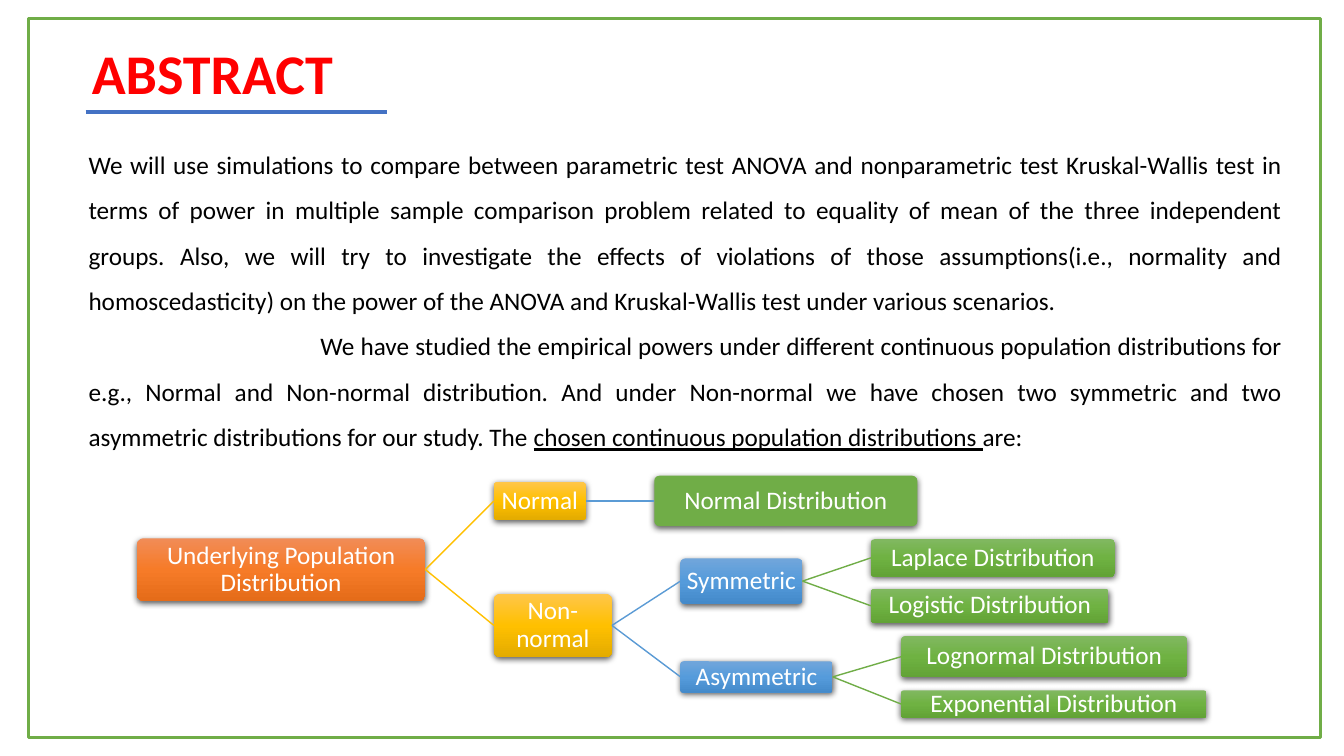
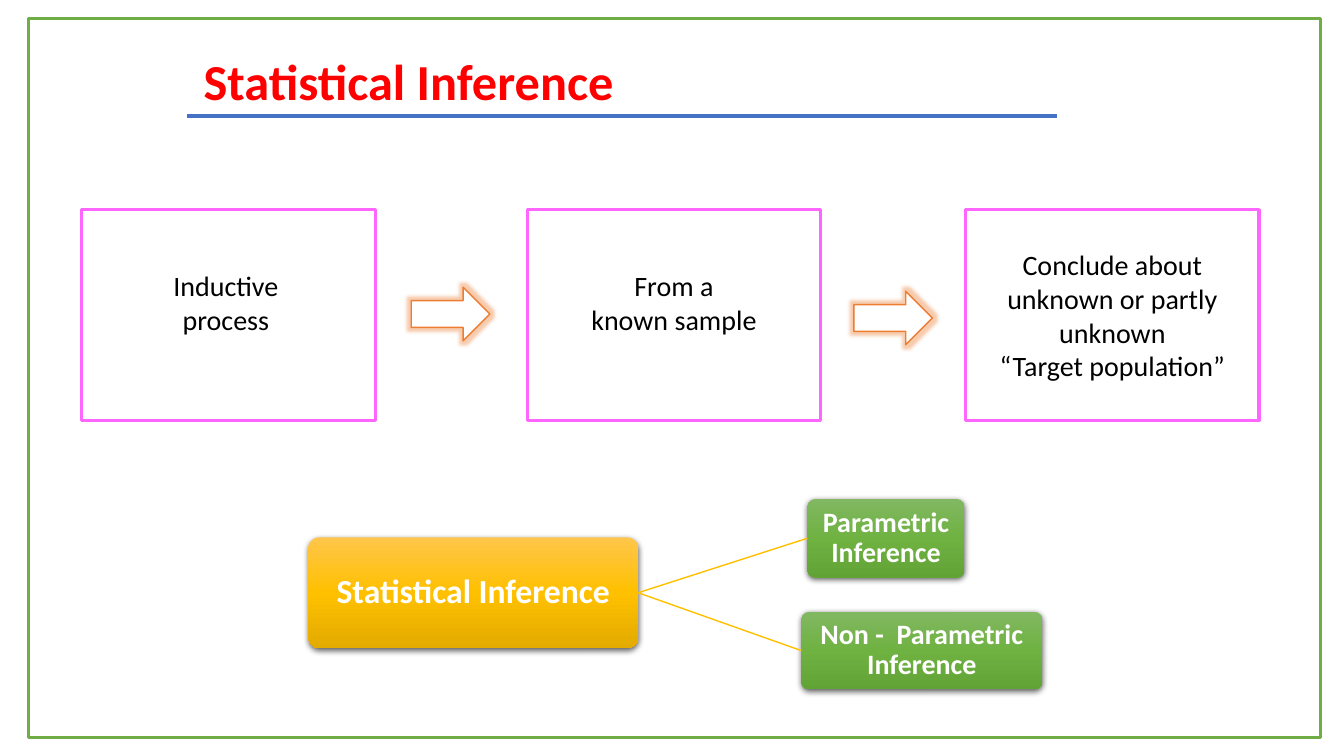
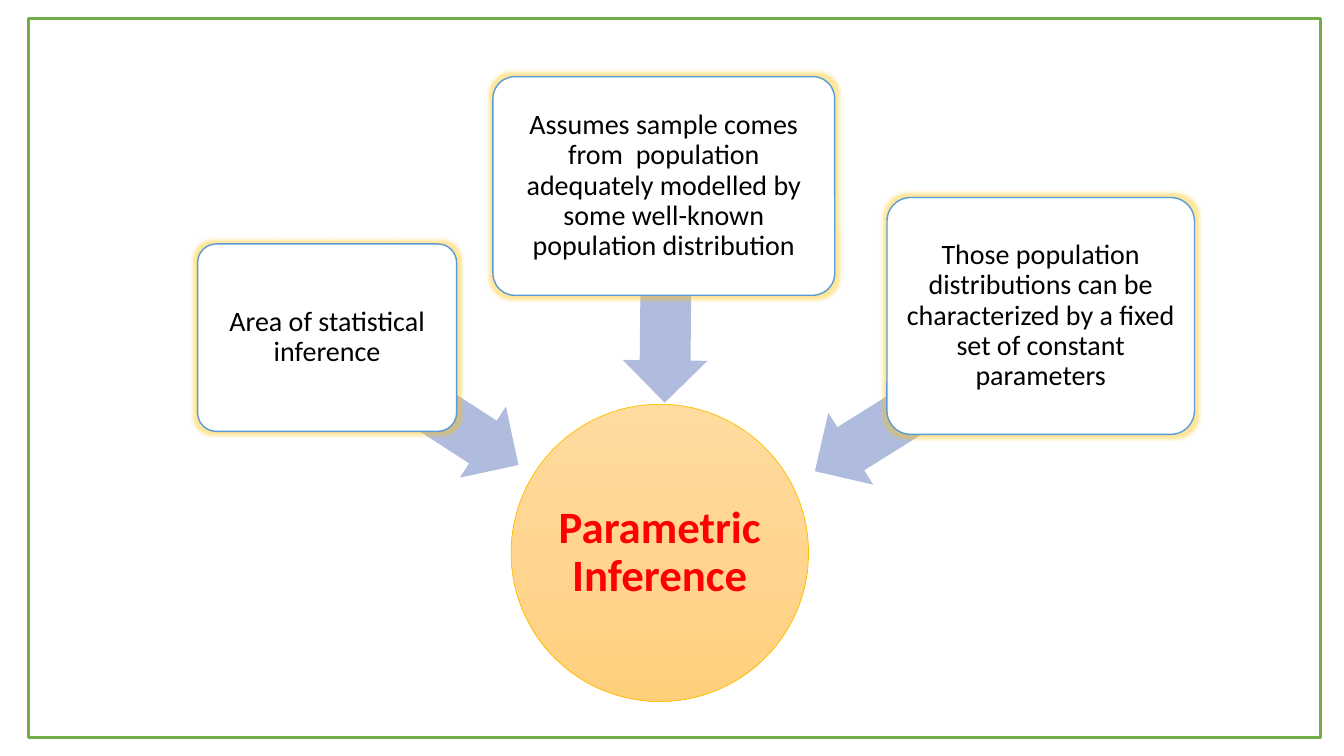
from dataclasses import dataclass

import lxml.etree
import pptx
import pptx.dml.color
import pptx.enum.shapes
import pptx.enum.text
import pptx.oxml.ns
import pptx.util

Shape = pptx.enum.shapes.MSO_SHAPE
Align = pptx.enum.text.PP_ALIGN
Anchor = pptx.enum.text.MSO_ANCHOR
Pt = pptx.util.Pt
Inches = pptx.util.Inches
qualified = pptx.oxml.ns.qn

SLIDE_WIDTH, SLIDE_HEIGHT = Inches(13.333), Inches(7.5)


@dataclass(frozen=True)
class Theme:
    font: str = "Calibri"
    red: str = "FF0000"
    black: str = "000000"
    white: str = "FFFFFF"
    frame: str = "70AD47"
    rule: str = "4472C4"
    pink: str = "FF66FF"
    arrow: str = "ED7D31"
    pale_arrow: str = "B0BCDE"
    glow: str = "FFC000"
    card_line: str = "5B9BD5"
    orange: tuple = ("F18C57", "F67B28", "E56C19")
    yellow: tuple = ("FFC64B", "FFC000", "E3AB00")
    blue: tuple = ("71A6DB", "559BDB", "448ACA")
    green: tuple = ("81B861", "6FB242", "62A336")
    peach: tuple = ("FFDB9E", "FFD590", "FFD07C")
    branches: tuple = ("FFC000", "5B9BD5", "70AD47")  # line colour by depth
    body: int = 18
    label: int = 20
    heading: int = 24
    hub: int = 32


THEME = Theme()


# ---------- Measures and formats ----------
def across(percent):
    return int(SLIDE_WIDTH * percent / 100)


def down(percent):
    return int(SLIDE_HEIGHT * percent / 100)


def place(left, top, width, height):
    """Turn percentages of the slide into lengths."""
    return across(left), down(top), across(width), down(height)


def colour(value):
    return pptx.dml.color.RGBColor.from_string(value)


def apply(target, formats):
    for name, value in formats.items():
        setattr(target, name, value)


def add_element(parent, tag, **attributes):
    values = {name: str(value) for name, value in attributes.items()}
    return lxml.etree.SubElement(parent, qualified(tag), values)


def paint(shape, fill):
    """No fill, one colour, or three colours from top to bottom."""
    if fill is None:
        shape.fill.background()
    elif isinstance(fill, str):
        shape.fill.solid()
        shape.fill.fore_color.rgb = colour(fill)
    else:
        shape.fill.gradient()
        shape.fill.gradient_angle = 270
        stops = next(shape.element.iter(qualified("a:gsLst")))
        for stop in list(stops):
            stops.remove(stop)
        for position, value in zip((0, 50000, 100000), fill):
            stop = add_element(stops, "a:gs", pos=position)
            add_element(stop, "a:srgbClr", val=value)


def outline(line, value, width):
    if value is None:
        line.fill.background()
    else:
        line.color.rgb = colour(value)
        line.width = Pt(width)


def add_effect(shape, tag, value, alpha, **attributes):
    effects = next(shape.element.iter(qualified("a:effectLst")))
    tint = add_element(add_element(effects, tag, **attributes), "a:srgbClr", val=value)
    add_element(tint, "a:alpha", val=alpha * 1000)


def cast_shadow(shape):
    add_effect(shape, "a:outerShdw", THEME.black, 63, blurRad=Pt(4.5), dist=Pt(1.5),
               dir=5400000, algn="ctr", rotWithShape=0)


def cast_glow(shape, value):
    add_effect(shape, "a:glow", value, 40, rad=Pt(5))


# ---------- Kinds of element ----------
def write(frame, paras, size, value, bold=False, align=Align.CENTER, spacing=1.0,
          anchor=Anchor.MIDDLE, insets=(0.1, 0.05, 0.1, 0.05)):
    """Each paragraph is a list of (text, underlined) spans or a plain string."""
    sides = ("margin_left", "margin_top", "margin_right", "margin_bottom")
    apply(frame, dict(zip(sides, map(Inches, insets))))
    apply(frame, {"word_wrap": True, "vertical_anchor": anchor})
    for index, content in enumerate(paras):
        para = frame.paragraphs[0] if index == 0 else frame.add_paragraph()
        apply(para, {"alignment": align, "line_spacing": spacing,
                     "space_before": Pt(0), "space_after": Pt(0)})
        for text, underlined in [(content, False)] if isinstance(content, str) else content:
            span = para.add_run()
            span.text = text
            apply(span.font, {"name": THEME.font, "size": Pt(size), "bold": bold,
                              "underline": underlined})
            span.font.color.rgb = colour(value)


def add_box(page, kind, area, fill=None, line=None, width=1.0, adjust=(), turn=0):
    box = page.shapes.add_shape(kind, *place(*area))
    box.shadow.inherit = False
    box.rotation = turn
    for index, amount in enumerate(adjust):
        box.adjustments[index] = amount
    paint(box, fill)
    outline(box.line, line, width)
    return box


def add_line(page, value, width, start=(0, 0), end=(0, 0), joined=None):
    line = page.shapes.add_connector(
        pptx.enum.shapes.MSO_CONNECTOR.STRAIGHT,
        across(start[0]), down(start[1]), across(end[0]), down(end[1]))
    outline(line.line, value, width)
    add_element(line.element.spPr, "a:effectLst")
    if joined:
        line.begin_connect(joined[0], 3)
        line.end_connect(joined[1], 1)


def add_page(deck, titled):
    page = deck.slides.add_slide(deck.slide_layouts[5 if titled else 6])
    add_box(page, Shape.RECTANGLE, (2.1, 2.4, 96.15, 95.2), line=THEME.frame, width=2.25)
    return page


def set_title(page, text, area, size, rule):
    title = page.shapes.title
    apply(title, dict(zip(("left", "top", "width", "height"), place(*area))))
    write(title.text_frame, [text], size, THEME.red, bold=True, align=Align.LEFT,
          anchor=Anchor.TOP)
    left, right, height = rule
    add_line(page, THEME.rule, 3, (left, height), (right, height))


def add_tree(page, nodes, bold=False):
    """Draw nodes of (label, parent, area, fill, size), parents first."""
    boxes, depths = {}, {}
    for label, parent, area, fill, size in nodes:
        box = add_box(page, Shape.ROUNDED_RECTANGLE, area, fill, adjust=(0.1,))
        cast_shadow(box)
        write(box.text_frame, [label], size, THEME.white, bold, spacing=0.9,
              insets=(0.02,) * 4)
        boxes[label] = box
        depths[label] = depths[parent] + 1 if parent else 0
        if parent:
            add_line(page, THEME.branches[depths[parent]], 1, joined=(boxes[parent], box))


# ---------- Slides ----------
def build_abstract(deck):
    page = add_page(deck, titled=True)
    set_title(page, "ABSTRACT", (6.08, 4.4, 21.45, 10.27), 40, (6.38, 28.8, 14.8))

    body = page.shapes.add_textbox(*place(5.85, 17.1, 90.3, 43.2)).text_frame
    write(body, [
        "We will use simulations to compare between parametric test ANOVA and "
        "nonparametric test Kruskal-Wallis test in terms of power in multiple sample "
        "comparison problem related to equality of mean of the three independent groups. "
        "Also, we will try to investigate the effects of violations of those "
        "assumptions(i.e., normality and homoscedasticity) on the power of the ANOVA and "
        "Kruskal-Wallis test under various scenarios.",
        [("We have studied the empirical powers under different continuous population "
          "distributions for e.g., Normal and Non-normal distribution. And under "
          "Non-normal we have chosen two symmetric and two asymmetric distributions for "
          "our study. The ", False),
         ("chosen continuous population distributions ", True),
         ("are:", False)],
    ], THEME.body, THEME.black, align=Align.JUSTIFY, spacing=1.5, anchor=Anchor.TOP)
    indented = body.paragraphs[1]._p.get_or_add_pPr()
    indented.set("marL", "0")
    indented.set("indent", str(Inches(2.3)))

    root, size = "Underlying Population Distribution", THEME.body
    add_tree(page, [
        (root, None, (10.2, 71.2, 21.45, 8.27), THEME.orange, size),
        ("Normal", root, (36.75, 63.73, 6.83, 5.07), THEME.yellow, size),
        ("Normal Distribution", "Normal", (48.68, 62.93, 19.58, 6.67), THEME.frame, size),
        ("Non-normal", root, (36.75, 78.53, 8.78, 8.4), THEME.yellow, size),
        ("Symmetric", "Non-normal", (50.63, 73.87, 9.08, 6), THEME.blue, size),
        ("Laplace Distribution", "Symmetric", (64.8, 71.33, 18.15, 4.93), THEME.green, size),
        ("Logistic Distribution", "Symmetric", (64.8, 77.87, 17.7, 4.53), THEME.green, size),
        ("Asymmetric", "Non-normal", (50.63, 87.47, 11.33, 4.13), THEME.blue, size),
        ("Lognormal Distribution", "Asymmetric", (67.05, 84.13, 21.3, 5.47),
         THEME.green, size),
        ("Exponential Distribution", "Asymmetric", (67.05, 91.33, 22.73, 3.6),
         THEME.green, size),
    ])


def build_inference(deck):
    page = add_page(deck, titled=True)
    set_title(page, "Statistical Inference", (14.4, 6, 63.83, 9.47), 36,
              (13.88, 78.68, 15.33))

    # Process steps, the first two with text raised by the bottom inset
    steps = [
        (6.08, ["Inductive", "process"], (0.16, 0, 0.21, 0.25)),
        (39.23, ["From a", "known sample"], (0.16, 0, 0.16, 0.25)),
        (71.85, ["Conclude about unknown or partly unknown", "“Target population”"],
         (0.16, 0, 0.16, 0)),
    ]
    for left, paras, insets in steps:
        step = add_box(page, Shape.RECTANGLE, (left, 27.73, 21.83, 27.87),
                       line=THEME.pink, width=2.25)
        write(step.text_frame, paras, THEME.label, THEME.black, insets=insets)
    for left, top in ((30.6, 38), (63.53, 38.53)):
        arrow = add_box(page, Shape.RIGHT_ARROW, (left, top, 5.85, 7.07),
                        THEME.white, THEME.arrow)
        cast_glow(arrow, THEME.arrow)

    root = "Statistical Inference"
    add_tree(page, [
        (root, None, (22.95, 71.07, 24.53, 14.67), THEME.yellow, THEME.heading),
        ("Parametric Inference", root, (60.08, 66, 11.7, 10.4), THEME.green, THEME.label),
        ("Non -  Parametric Inference", root, (59.63, 80.93, 17.93, 10.27),
         THEME.green, THEME.label),
    ], bold=True)


def build_parametric(deck):
    page = add_page(deck, titled=False)
    hub = add_box(page, Shape.OVAL, (38.03, 53.47, 22.13, 39.33), THEME.peach,
                  THEME.glow, 0.5)
    write(hub.text_frame, ["Parametric Inference"], THEME.hub, THEME.red, bold=True,
          spacing=0.9, insets=(0.02,) * 4)

    # Each card lies over the tail of its arrow: (left, top, width), turn, card area
    cards = [
        ("Area of statistical inference",
         (22.5, 47.47, 17.48), 212.9, (14.7, 32.27, 19.28, 24.8)),
        ("Assumes sample comes from  population adequately modelled by some "
         "well-known population distribution",
         (41.85, 34, 15.38), 270.6, (36.68, 10.13, 25.43, 28.93)),
        ("Those population distributions can be characterized by a fixed set of "
         "constant parameters",
         (59.03, 46.8, 21.08), 328, (66, 26.13, 22.88, 31.33)),
    ]
    for text, arrow, turn, area in cards:
        add_box(page, Shape.LEFT_ARROW, (*arrow, 11.2), THEME.pale_arrow,
                adjust=(0.6, 0.5), turn=turn)
        card = add_box(page, Shape.ROUNDED_RECTANGLE, area, THEME.white,
                       THEME.card_line, adjust=(0.1,))
        cast_glow(card, THEME.glow)
        write(card.text_frame, [text], THEME.label, THEME.black, spacing=0.9,
              insets=(0.04,) * 4)


def main():
    deck = pptx.Presentation()
    apply(deck, {"slide_width": SLIDE_WIDTH, "slide_height": SLIDE_HEIGHT})
    build_abstract(deck)
    build_inference(deck)
    build_parametric(deck)
    deck.save("out.pptx")


if __name__ == "__main__":
    main()
